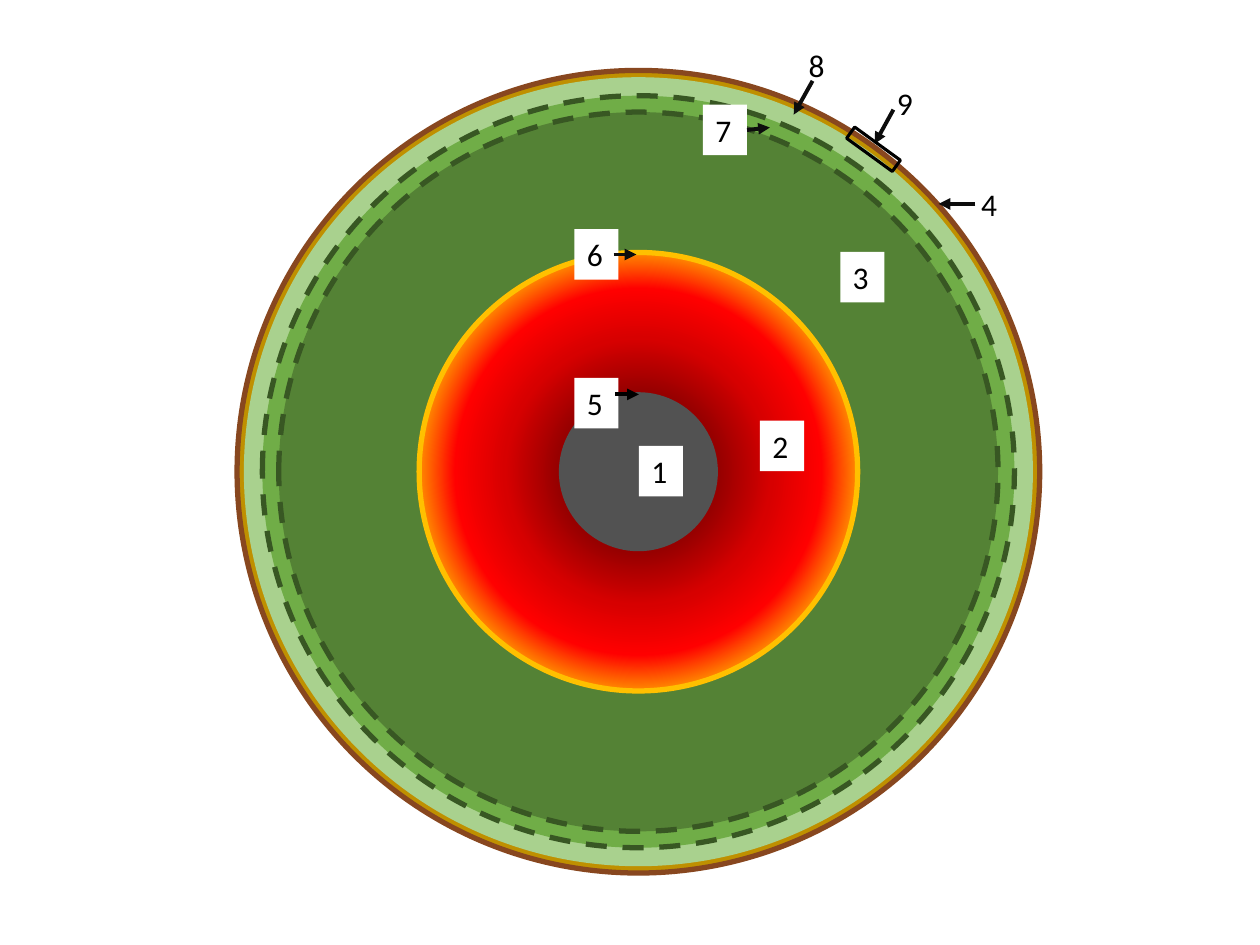
from lxml.etree import SubElement
from pptx import Presentation
from pptx.dml.color import RGBColor
from pptx.enum.dml import MSO_LINE
from pptx.enum.shapes import MSO_CONNECTOR, MSO_SHAPE
from pptx.enum.text import MSO_AUTO_SIZE
from pptx.oxml.ns import qn
from pptx.util import Cm, Pt


def hue(code):
    """Turn a hex string into a colour."""
    return RGBColor.from_string(code)


def style(line, code, width):
    line.color.rgb = hue(code)
    line.width = Pt(width)


deck = Presentation()
deck.slide_width, deck.slide_height = Cm(25.4), Cm(19.05)
slide = deck.slides.add_slide(deck.slide_layouts[6])
shapes = slide.shapes

# Layers of the planet, outermost first: diameter, fill, line, dashed
mid_x, mid_y = 12.87, 9.51
layers = [
    (16.18, "BF9000", "88471F", False),
    (15.8, "A9D18E", "A9D18E", False),
    (15.16, "70AD47", "385723", True),
    (14.5, "548235", "385723", True),
    (8.84, None, "FFC000", False),
    (3.1, "525252", "525252", False),
]
glow = [(26, "970000"), (43, "D70000"), (59, "FF0000"), (75, "FFC000")]

for size, fill, edge, dashed in layers:
    disc = shapes.add_shape(
        MSO_SHAPE.OVAL, Cm(mid_x - size / 2), Cm(mid_y - size / 2), Cm(size), Cm(size)
    )
    disc.shadow.inherit = False
    style(disc.line, edge, 3)
    if dashed:
        disc.line.dash_style = MSO_LINE.DASH
    if fill:
        disc.fill.solid()
        disc.fill.fore_color.rgb = hue(fill)
        continue
    # Radial glow of the outer core
    disc.fill.gradient()
    grad = disc._element.spPr.find(qn("a:gradFill"))
    grad.clear()
    stops = SubElement(grad, qn("a:gsLst"))
    for place, code in glow:
        stop = SubElement(stops, qn("a:gs"), pos=str(place * 1000))
        SubElement(stop, qn("a:srgbClr"), val=code)
    ring = SubElement(grad, qn("a:path"), path="circle")
    SubElement(ring, qn("a:fillToRect"), {side: "50000" for side in "ltrb"})

# Number labels: left, top
labels = {
    "1": (12.88, 8.99),
    "2": (15.32, 8.48),
    "3": (16.94, 5.08),
    "4": (19.53, 3.61),
    "5": (11.58, 7.62),
    "6": (11.58, 4.62),
    "7": (14.17, 2.11),
    "8": (16.05, 0.81),
    "9": (17.83, 1.57),
}
face = {"name": "Calibri", "size": Pt(18)}

for text, (left, top) in labels.items():
    box = shapes.add_textbox(Cm(left), Cm(top), Cm(0.89), Cm(1.02))
    box.fill.solid()
    box.fill.fore_color.rgb = hue("FFFFFF")
    frame = box.text_frame
    frame.word_wrap = True
    frame.auto_size = MSO_AUTO_SIZE.SHAPE_TO_FIT_TEXT
    run = frame.paragraphs[0].add_run()
    run.text = text
    run.font.color.rgb = hue("000000")
    for key, value in face.items():
        setattr(run.font, key, value)

# Arrows from labels 5, 6, 4, 7, 8 and 9: start, end, colour
arrows = [
    (12.4, 7.95, 12.88, 7.95, "000000"),
    (12.37, 5.13, 12.83, 5.13, "0D0D0D"),
    (19.66, 4.11, 18.92, 4.11, "0D0D0D"),
    (15.06, 2.62, 15.52, 2.57, "0D0D0D"),
    (16.38, 1.63, 16, 2.31, "0D0D0D"),
    (18.01, 2.21, 17.63, 2.9, "0D0D0D"),
]

for *ends, code in arrows:
    arrow = shapes.add_connector(MSO_CONNECTOR.STRAIGHT, *map(Cm, ends))
    style(arrow.line, code, 2.25)
    SubElement(arrow.line._get_or_add_ln(), qn("a:tailEnd"), type="triangle")
    SubElement(arrow._element.spPr, qn("a:effectLst"))

# Tilted frame around the piece of crust and upper mantle
plate = shapes.add_shape(MSO_SHAPE.RECTANGLE, Cm(17.04), Cm(2.87), Cm(1.14), Cm(0.28))
plate.rotation = 36
plate.shadow.inherit = False
plate.fill.background()
style(plate.line, "000000", 1.75)

deck.save("out.pptx")
